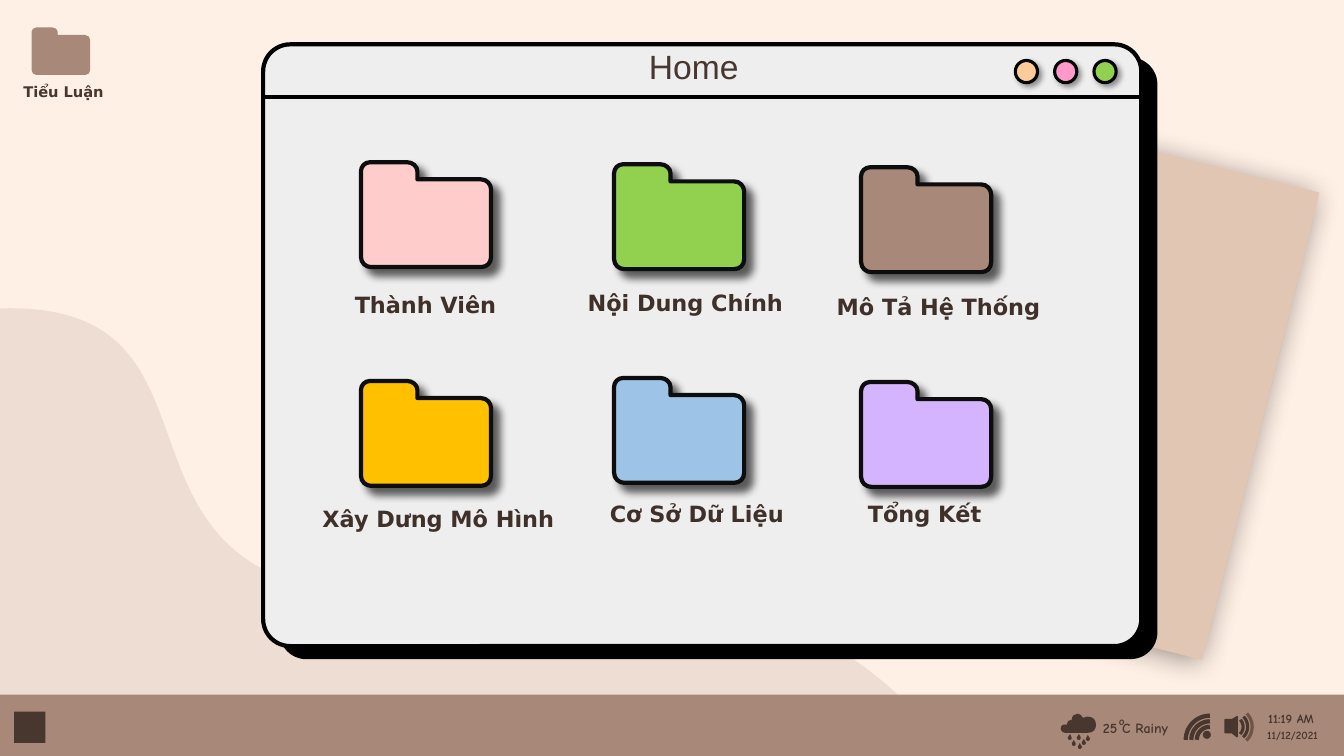
from dataclasses import dataclass
from typing import Optional

from lxml import etree
from pptx import Presentation
from pptx.dml.color import RGBColor
from pptx.enum.dml import MSO_PATTERN
from pptx.enum.shapes import MSO_CONNECTOR, MSO_SHAPE
from pptx.enum.text import MSO_AUTO_SIZE, PP_ALIGN
from pptx.oxml.ns import qn
from pptx.util import Inches, Pt

RECT, ROUND_RECT, OVAL = MSO_SHAPE.RECTANGLE, MSO_SHAPE.ROUNDED_RECTANGLE, MSO_SHAPE.OVAL
ARC, TEAR = MSO_SHAPE.ARC, MSO_SHAPE.TEAR
LEFT, CENTER = PP_ALIGN.LEFT, PP_ALIGN.CENTER
STRAIGHT = MSO_CONNECTOR.STRAIGHT
DARK_VERTICAL = MSO_PATTERN.DARK_VERTICAL
FIT_TEXT = MSO_AUTO_SIZE.SHAPE_TO_FIT_TEXT

SLIDE_W, SLIDE_H = 13.33, 7.5
TASKBAR_TOP = 6.89
CREAM, SAND, MOCHA, COFFEE = "FFF0E5", "EEDDD2", "A88878", "47372F"
PAPER, LABEL_INK, BLACK, OUTLINE = "E2C6B4", "3F3029", "000000", "0D0D0D"
LABEL_FONT, TITLE_FONT, TRAY_FONT = "DejaVu Sans", "Arial", "Comic Neue"
ARC_START, ARC_END = 108, 162  # 180 to 270 degrees, in units of 100,000
DESKTOP_SCALE = 0.44

# A pair is a corner; six numbers are a Bézier curve to the last pair.
Path = list[tuple[float, ...]]

HILL: Path = [(0, 3.06), (2.57, 2.98, 0.69, 5.96, 4.02, 5.91),
              (6.77, 5.87, 8.08, 5.75, 9.46, 7.5), (0, 7.5)]
CLOUD: Path = [
    (10.69, 7.08), (10.71, 7.08, 10.73, 7.1, 10.74, 7.12), (10.75, 7.12),
    (10.76, 7.11, 10.78, 7.11, 10.79, 7.11), (10.84, 7.11, 10.87, 7.14, 10.87, 7.19),
    (10.87, 7.23, 10.85, 7.27, 10.79, 7.27), (10.56, 7.27),
    (10.54, 7.27, 10.52, 7.25, 10.52, 7.23), (10.52, 7.2, 10.54, 7.18, 10.58, 7.19),
    (10.58, 7.16, 10.6, 7.14, 10.63, 7.14), (10.63, 7.1, 10.66, 7.08, 10.69, 7.08)]
SPEAKER: Path = [(12.27, 7.11), (12.27, 7.31), (12.22, 7.27), (12.15, 7.27),
                 (12.15, 7.14), (12.22, 7.14)]
FOLDER_OUTLINE: Path = [
    (0.09, 0), (0.46, 0), (0.51, 0, 0.56, 0.04, 0.56, 0.09), (0.56, 0.17), (1.19, 0.17),
    (1.25, 0.17, 1.29, 0.22, 1.29, 0.27), (1.29, 0.94), (1.29, 1, 1.25, 1.04, 1.19, 1.04),
    (0.1, 1.04), (0.05, 1.04, 0, 1, 0, 0.94), (0, 0.09), (0, 0.04, 0.04, 0, 0.09, 0)]


@dataclass(frozen=True)
class Line:
    color: str
    points: float


@dataclass(frozen=True)
class Shadow:
    opacity: int
    blur: float
    distance: float
    angle: int


@dataclass(frozen=True)
class Folder:
    name: str
    color: str
    left: float
    top: float
    label_left: float
    label_top: float
    label_width: float


@dataclass(frozen=True)
class Raindrop:
    left: float
    top: float
    rotation: float


PAPER_SHADOW = Shadow(40, 20, 3, 135)
BUTTON_SHADOW = Shadow(40, 4, 3, 45)
FOLDER_SHADOW = Shadow(62, 6, 7, 45)
WINDOW_LINE = Line(BLACK, 3)

FOLDERS = [
    Folder("Thành Viên", "FFCCCC", 3.58, 1.61, 3.42, 2.84, 1.62),
    Folder("Nội Dung Chính", "92D050", 6.09, 1.63, 5.73, 2.82, 2.16),
    Folder("Mô Tả Hệ Thống", MOCHA, 8.54, 1.66, 8.2, 2.86, 2.22),
    Folder("Xây Dưng Mô Hình", "FFC000", 3.58, 3.78, 3.1, 4.96, 2.52),
    Folder("Cơ Sở Dữ Liệu", "9DC3E6", 6.09, 3.75, 5.95, 4.91, 1.95),
    Folder("Tổng Kết", "D4B4FE", 8.54, 3.79, 8.51, 4.91, 1.33),
]
RAINDROPS = [Raindrop(10.59, 7.3, 319), Raindrop(10.63, 7.36, 314), Raindrop(10.68, 7.3, 316),
             Raindrop(10.73, 7.35, 314), Raindrop(10.77, 7.31, 313), Raindrop(10.69, 7.39, 313)]

deck = Presentation()
deck.slide_width, deck.slide_height = Inches(SLIDE_W), Inches(SLIDE_H)
slide = deck.slides.add_slide(deck.slide_layouts[6])


def rgb(color: str) -> RGBColor:
    return RGBColor.from_string(color)


def style(shape, fill: Optional[str], line: Optional[Line] = None,
          shadow: Optional[Shadow] = None):
    if fill:
        shape.fill.solid()
        shape.fill.fore_color.rgb = rgb(fill)
    else:
        shape.fill.background()
    if line:
        shape.line.color.rgb = rgb(line.color)
        shape.line.width = Pt(line.points)
    else:
        shape.line.fill.background()
    shape.shadow.inherit = False
    if shadow:
        effects = shape._element.spPr.find(qn("a:effectLst"))
        outer = etree.SubElement(effects, qn("a:outerShdw"), blurRad=str(Pt(shadow.blur)),
                                 dist=str(Pt(shadow.distance)), dir=str(shadow.angle * 60000),
                                 algn="ctr", rotWithShape="0")
        tint = etree.SubElement(outer, qn("a:srgbClr"), val=BLACK)
        etree.SubElement(tint, qn("a:alpha"), val=str(shadow.opacity * 1000))
    return shape


def add_preset(kind: MSO_SHAPE, left: float, top: float, width: float, height: float,
               fill: Optional[str], line: Optional[Line] = None,
               shadow: Optional[Shadow] = None, rotation: float = 0,
               adjust: tuple[float, ...] = ()):
    shape = slide.shapes.add_shape(kind, Inches(left), Inches(top), Inches(width), Inches(height))
    shape.rotation = rotation
    for index, value in enumerate(adjust):
        shape.adjustments[index] = value
    return style(shape, fill, line, shadow)


def add_outline(parts: Path, fill: str, line: Optional[Line] = None,
                shadow: Optional[Shadow] = None, left: float = 0, top: float = 0,
                scale: float = 1):
    """Build the outline through its end points, then bend the curved parts."""
    def place(x: float, y: float) -> tuple[int, int]:
        return Inches(left + x * scale), Inches(top + y * scale)

    corners = [place(*part[-2:]) for part in parts]
    builder = slide.shapes.build_freeform(*corners[0])
    builder.add_line_segments(corners[1:], close=True)
    shape = builder.convert_to_shape()
    drawn = shape._element.spPr.find(".//" + qn("a:path"))
    for segment, part in zip(list(drawn)[1:], parts[1:]):
        if len(part) == 6:
            curve = etree.Element(qn("a:cubicBezTo"))
            for x, y in (place(*part[:2]), place(*part[2:4])):
                etree.SubElement(curve, qn("a:pt"), x=str(x - shape.left), y=str(y - shape.top))
            curve.extend(list(segment))
            drawn.replace(segment, curve)
    return style(shape, fill, line, shadow)


def add_text(text: str, left: float, top: float, width: float, height: float, size: float,
             font: str, color: str = COFFEE, bold: bool = True, wrap: bool = True,
             align: PP_ALIGN = LEFT) -> None:
    box = slide.shapes.add_textbox(Inches(left), Inches(top), Inches(width), Inches(height))
    frame = box.text_frame
    frame.word_wrap, frame.auto_size = wrap, FIT_TEXT
    frame.paragraphs[0].alignment = align
    run = frame.paragraphs[0].add_run()
    run.text = text
    run.font.size, run.font.name, run.font.bold = Pt(size), font, bold
    run.font.color.rgb = rgb(color)


def add_waves(center_x: float, center_y: float, sizes: list[float], colors: list[str],
              points: float, rotation: float = 0) -> None:
    """Draw concentric quarter arcs."""
    for size, color in zip(sizes, colors):
        add_preset(ARC, center_x - size / 2, center_y - size / 2, size, size, None,
                   Line(color, points), rotation=rotation, adjust=(ARC_START, ARC_END))


def draw_taskbar() -> None:
    add_preset(RECT, 0, TASKBAR_TOP, SLIDE_W, SLIDE_H - TASKBAR_TOP, MOCHA)
    add_preset(RECT, 0.14, 7.06, 0.31, 0.31, COFFEE)
    add_outline(CLOUD, COFFEE)
    for drop in RAINDROPS:
        add_preset(TEAR, drop.left, drop.top, 0.04, 0.04, COFFEE, rotation=drop.rotation,
                   adjust=(1.35,))
    add_text("25 C Rainy", 10.84, 7.09, 0.94, 0.27, 10, TRAY_FONT, wrap=False)
    add_text("o", 11, 7.04, 0.26, 0.24, 8, TRAY_FONT, wrap=False)
    add_preset(OVAL, 11.93, 7.25, 0.08, 0.08, COFFEE)
    add_waves(12, 7.34, [0.26, 0.37, 0.48], [COFFEE] * 3, 3)
    add_outline(SPEAKER, COFFEE, Line(COFFEE, 1))
    add_waves(12.23, 7.21, [0.2, 0.29, 0.38], [COFFEE, COFFEE, "6D5447"], 2.25, rotation=136)
    add_text("11:19 AM", 12.48, 7, 0.89, 0.25, 9, TRAY_FONT)
    add_text("11/12/2021", 12.47, 7.18, 0.89, 0.24, 8, TRAY_FONT)


def draw_window() -> None:
    left, top, width, height, bar_bottom = 2.61, 0.44, 8.71, 5.97, 0.96
    add_preset(ROUND_RECT, left + 0.16, top + 0.13, width, height, BLACK, adjust=(0.045,))
    window = add_preset(ROUND_RECT, left, top, width, height, None, WINDOW_LINE, adjust=(0.045,))
    window.fill.patterned()
    window.fill.pattern = DARK_VERTICAL
    window.fill.fore_color.rgb, window.fill.back_color.rgb = rgb("EEEEEE"), rgb("FFFFFF")
    title_rule = slide.shapes.add_connector(STRAIGHT, Inches(left), Inches(bar_bottom),
                                            Inches(left + width), Inches(bar_bottom))
    title_rule.line.color.rgb = rgb(WINDOW_LINE.color)
    title_rule.line.width = Pt(WINDOW_LINE.points)
    etree.SubElement(title_rule._element.spPr, qn("a:effectLst"))
    for index, color in enumerate(["FFCC99", "FF99CC", "92D050"]):
        add_preset(OVAL, 10.07 + 0.39 * index, 0.6, 0.22, 0.22, color, Line(BLACK, 2.25),
                   BUTTON_SHADOW)
    add_text("Home", 6.13, 0.41, 1.5, 0.5, 24, TITLE_FONT, bold=False, align=CENTER)


def draw_folder(folder: Folder) -> None:
    add_outline(FOLDER_OUTLINE, folder.color, Line(OUTLINE, 3), FOLDER_SHADOW,
                folder.left, folder.top)
    add_text(folder.name, folder.label_left, folder.label_top, folder.label_width, 0.37, 16,
             LABEL_FONT, LABEL_INK, wrap=False)


def main() -> None:
    slide.background.fill.solid()
    slide.background.fill.fore_color.rgb = rgb(CREAM)
    add_outline(HILL, SAND)
    draw_taskbar()
    add_preset(RECT, 8.88, 1.39, 3.68, 4.78, PAPER, shadow=PAPER_SHADOW, rotation=14.1)
    draw_window()
    add_outline(FOLDER_OUTLINE, MOCHA, Line(MOCHA, 1), None, 0.32, 0.28, DESKTOP_SCALE)
    add_text("Tiểu Luận", 0.09, 0.77, 1.08, 0.28, 10.5, LABEL_FONT, align=CENTER)
    for folder in FOLDERS:
        draw_folder(folder)
    deck.save("out.pptx")


if __name__ == "__main__":
    main()
